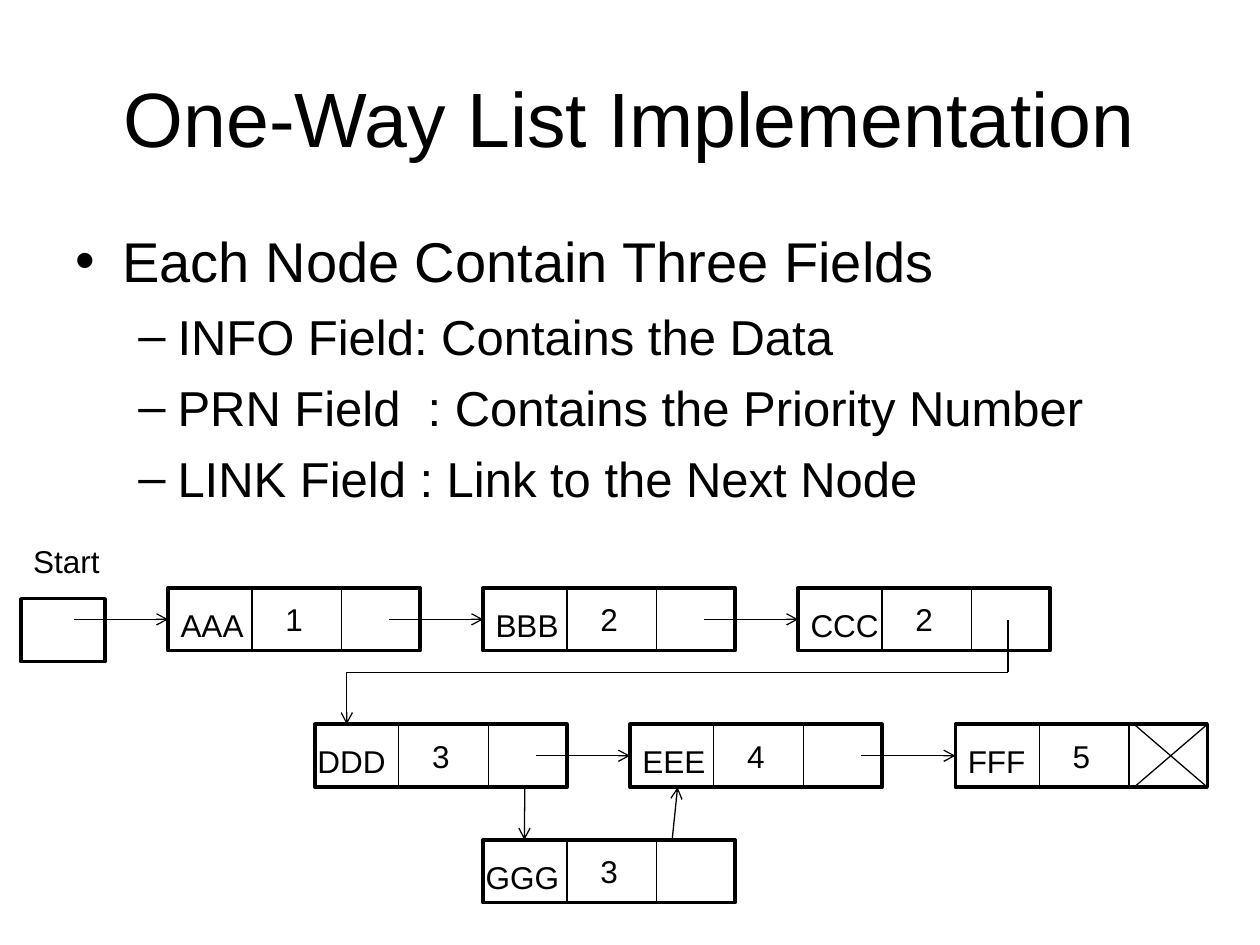
from lxml import etree
from pptx import Presentation
from pptx.dml.color import RGBColor
from pptx.enum.shapes import MSO_CONNECTOR as CONN, MSO_SHAPE as SHAPE
from pptx.enum.text import MSO_ANCHOR as ANCHOR, MSO_AUTO_SIZE as FIT, PP_ALIGN as ALIGN
from pptx.oxml.ns import qn
from pptx.util import Cm, Pt


def color(value):
    return RGBColor.from_string(value)


def set_all(obj, values):
    for name, value in values.items():
        setattr(obj, name, value)


class ListSlide:
    ink, paper, font = "000000", "FFFFFF", "Arial"
    thin, thick = 0.75, 2
    node_w, node_h = 5.08, 1.27
    dividers = (1.69, 3.5)
    arrow_len = 1.9

    def __init__(self, prs):
        self.s = prs.slides.add_slide(prs.slide_layouts[6])

    def fill_paragraph(self, p, text, size, **fmt):
        set_all(p, fmt)
        r = p.add_run()
        r.text = text
        set_all(r.font, {"size": Pt(size), "name": self.font})
        r.font.color.rgb = color(self.ink)

    def text(self, x, y, w, h, content="", size=18, align=ALIGN.LEFT, **frame):
        tf = self.s.shapes.add_textbox(Cm(x), Cm(y), Cm(w), Cm(h)).text_frame
        set_all(tf, {"word_wrap": True, **frame})
        if content:
            self.fill_paragraph(tf.paragraphs[0], content, size, alignment=align)
        return tf

    def label(self, x, y, w, content):
        self.text(x, y, w, 1.02, content, auto_size=FIT.SHAPE_TO_FIT_TEXT)

    def bullets(self, x, y, w, h, items):
        tf = self.text(x, y, w, h)
        for i, (level, content) in enumerate(items):
            size, before, margin, hang, mark = (
                (28, 7, 2.06, 0.79, "–") if level else (32, 8, 0.95, 0.95, "•"))
            p = tf.add_paragraph() if i else tf.paragraphs[0]
            self.fill_paragraph(p, content, size, level=level, space_before=Pt(before))
            pPr = p._p.get_or_add_pPr()
            pPr.set("marL", str(Cm(margin)))
            pPr.set("indent", str(-Cm(hang)))
            etree.SubElement(pPr, qn("a:buFont")).set("typeface", self.font)
            etree.SubElement(pPr, qn("a:buChar")).set("char", mark)

    def box(self, x, y, w, h, content="", parent=None):
        shapes = (parent or self.s).shapes
        sp = shapes.add_shape(SHAPE.RECTANGLE, Cm(x), Cm(y), Cm(w), Cm(h))
        sp.shadow.inherit = False
        sp.fill.solid()
        sp.fill.fore_color.rgb = color(self.paper)
        sp.line.color.rgb = color(self.ink)
        sp.line.width = Pt(self.thick)
        if content:
            tf = sp.text_frame
            set_all(tf, {"word_wrap": True, "vertical_anchor": ANCHOR.MIDDLE})
            self.fill_paragraph(tf.paragraphs[0], content, 18, alignment=ALIGN.CENTER)
        return sp

    def line(self, x1, y1, x2, y2, arrow=False, parent=None):
        shapes = (parent or self.s).shapes
        c = shapes.add_connector(CONN.STRAIGHT, Cm(x1), Cm(y1), Cm(x2), Cm(y2))
        c.line.color.rgb = color(self.ink)
        c.line.width = Pt(self.thin)
        spPr = c._element.spPr
        if arrow:
            etree.SubElement(spPr.get_or_add_ln(), qn("a:tailEnd")).set("type", "arrow")
        etree.SubElement(spPr, qn("a:effectLst"))
        return c

    def node(self, x, y, priority):
        group = self.s.shapes.add_group_shape()
        sp = self.box(x, y, self.node_w, self.node_h, priority, group)
        for dx in self.dividers:
            self.line(x + dx, y, x + dx, y + self.node_h, parent=group)
        return sp

    def link_into(self, sp, x, y):
        mid = y + self.node_h / 2
        self.line(x - self.arrow_len, mid, x, mid, True).end_connect(sp, 1)


ROW1, ROW2, ROW3 = 11.85, 14.6, 16.93
NODES = [
    ("AAA", "1", 3.39, ROW1, 0, 1.9, True),
    ("BBB", "2", 9.74, ROW1, 0, 1.9, True),
    ("CCC", "2", 16.09, ROW1, 0, 1.9, True),
    ("DDD", "3", 6.35, ROW2, -0.2, 1.9, False),
    ("EEE", "4", 12.7, ROW2, 0, 1.9, True),
    ("FFF", "5", 19.26, ROW2, 0, 1.9, True),
    ("GGG", "3", 9.74, ROW3, -0.2, 2.12, False),
]
FIELDS = [
    (0, "Each Node Contain Three Fields"),
    (1, "INFO Field: Contains the Data"),
    (1, "PRN Field  : Contains the Priority Number"),
    (1, "LINK Field : Link to the Next Node"),
]


def main():
    prs = Presentation()
    set_all(prs, {"slide_width": Cm(25.4), "slide_height": Cm(19.05)})
    s = ListSlide(prs)
    s.text(1.27, 0.76, 22.86, 3.18, "One-Way List Implementation", 44,
           ALIGN.CENTER, vertical_anchor=ANCHOR.MIDDLE)
    s.bullets(1.27, 4.45, 22.86, 12.57, FIELDS)

    s.box(0.42, 12.07, 1.7, s.node_h)
    s.label(0.42, 10.8, 1.9, "Start")
    boxes = [s.node(x, y, priority) for _, priority, x, y, *_ in NODES]
    for sp, (info, _, x, y, shift, width, linked) in zip(boxes, NODES):
        s.label(x + shift, y + 0.24, width, info)
        if linked:
            s.link_into(sp, x, y)

    turn = [(20.32, 12.49), (20.32, 13.55), (6.99, 13.55), (6.99, ROW2)]
    for i, (start, end) in enumerate(zip(turn, turn[1:])):
        s.line(*start, *end, arrow=i == 2)

    row2_end = ROW2 + s.node_h
    s.line(10.58, row2_end, 10.57, ROW3, True)
    s.line(13.55, ROW3, 13.66, row2_end, True)
    s.line(24.34, ROW2, 22.86, row2_end)
    s.line(22.86, ROW2, 24.34, row2_end)
    prs.save("out.pptx")


if __name__ == "__main__":
    main()
